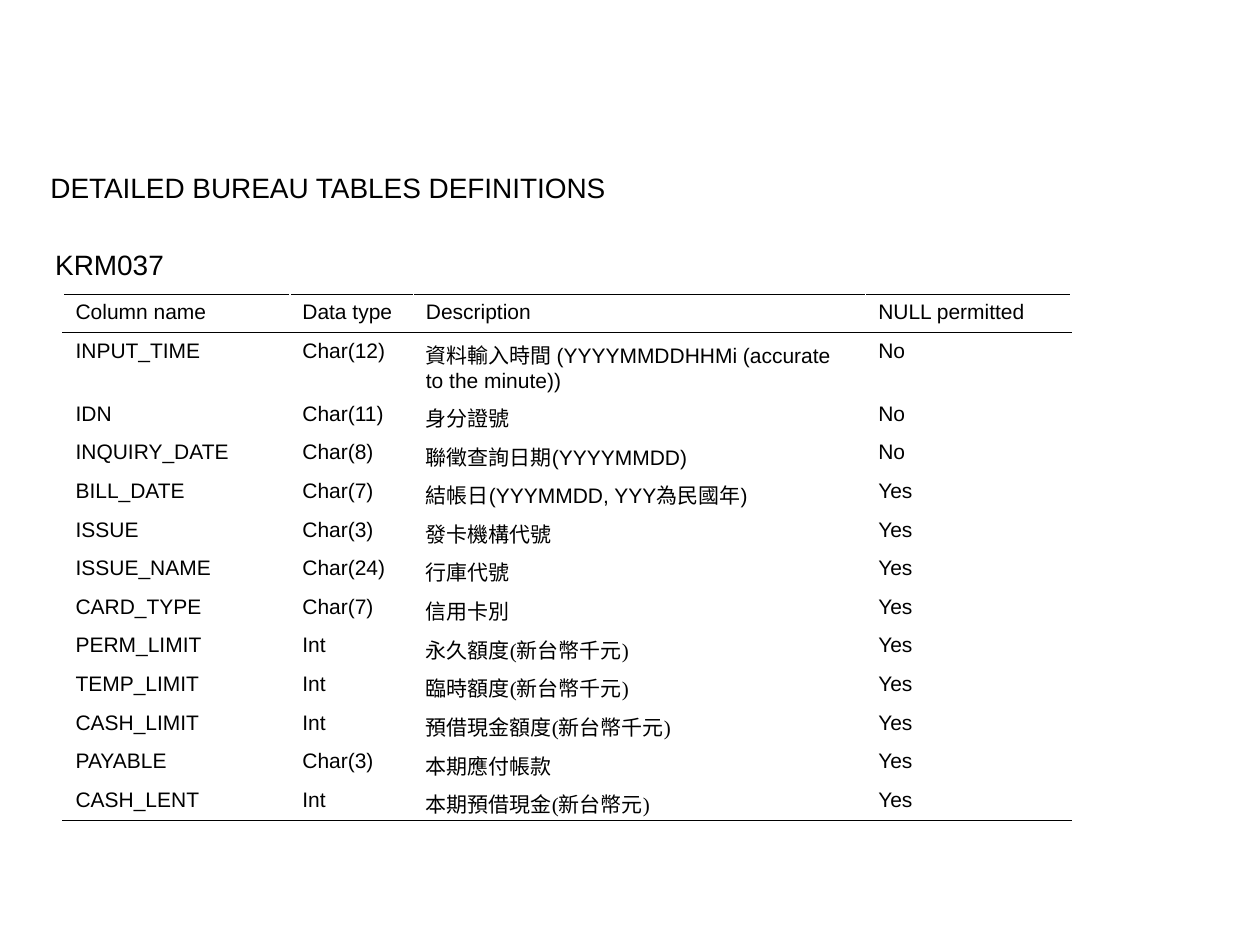
from pptx import Presentation
from pptx.dml.color import RGBColor
from pptx.enum.text import MSO_ANCHOR, MSO_AUTO_SIZE, PP_ALIGN
from pptx.oxml.ns import qn
from pptx.util import Pt
from lxml.etree import SubElement

BLACK = "000000"
SANS, SERIF = "Arial", "Times New Roman"
COLUMN_WIDTHS = [129.6, 70.6, 258.5, 117.3]
ROW_HEIGHTS = [21.8, 36] + [22.1] * 10 + [21.8]
OUTER_RULE, HEADER_RULE = 0.75, 0.45


def with_unit(name, unit):
    """Description spans whose unit stands in serif brackets."""
    return [(name, SANS), ("(", SERIF), (unit, SANS), (")", SERIF)]


ROWS = [
    ("Column name", "Data type", "Description", "NULL permitted"),
    ("INPUT_TIME", "Char(12)", "資料輸入時間 (YYYYMMDDHHMi (accurate to the minute))", "No"),
    ("IDN", "Char(11)", "身分證號", "No"),
    ("INQUIRY_DATE", "Char(8)", "聯徵查詢日期(YYYYMMDD)", "No"),
    ("BILL_DATE", "Char(7)", "結帳日(YYYMMDD, YYY為民國年)", "Yes"),
    ("ISSUE", "Char(3)", "發卡機構代號", "Yes"),
    ("ISSUE_NAME", "Char(24)", "行庫代號", "Yes"),
    ("CARD_TYPE", "Char(7)", "信用卡別", "Yes"),
    ("PERM_LIMIT", "Int", with_unit("永久額度", "新台幣千元"), "Yes"),
    ("TEMP_LIMIT", "Int", with_unit("臨時額度", "新台幣千元"), "Yes"),
    ("CASH_LIMIT", "Int", with_unit("預借現金額度", "新台幣千元"), "Yes"),
    ("PAYABLE", "Char(3)", "本期應付帳款", "Yes"),
    ("CASH_LENT", "Int", with_unit("本期預借現金", "新台幣元"), "Yes"),
]


def color(hex_string):
    return RGBColor.from_string(hex_string)


def write(frame, content, size):
    """Write plain text or a list of (text, font) spans into a text frame."""
    para = frame.paragraphs[0]
    para.alignment = PP_ALIGN.LEFT
    spans = [(content, SANS)] if isinstance(content, str) else content
    for text, font in spans:
        span = para.add_run()
        span.text = text
        for name, value in {"name": font, "size": Pt(size), "bold": False}.items():
            setattr(span.font, name, value)
        span.font.color.rgb = color(BLACK)


def place_heading(box, left, top, width, height, text, wrap):
    place = {"left": left, "top": top, "width": width, "height": height}
    for name, value in place.items():
        setattr(box, name, Pt(value))
    frame_format = {
        "word_wrap": wrap,
        "auto_size": MSO_AUTO_SIZE.SHAPE_TO_FIT_TEXT,
        "vertical_anchor": MSO_ANCHOR.TOP,
    }
    for name, value in frame_format.items():
        setattr(box.text_frame, name, value)
    write(box.text_frame, text, 16)


def add_rule(cell, side, width):
    properties = cell._tc.get_or_add_tcPr()
    line = SubElement(properties, qn(f"a:{side}"), w=str(Pt(width)))
    fill = SubElement(line, qn("a:solidFill"))
    SubElement(fill, qn("a:srgbClr"), val=BLACK)


def rules_for(row):
    """Horizontal rules of a row, top before bottom."""
    if row == 0:
        return {"lnT": OUTER_RULE, "lnB": HEADER_RULE}
    if row == 1:
        return {"lnT": HEADER_RULE}
    if row == len(ROWS) - 1:
        return {"lnB": OUTER_RULE}
    return {}


def add_definition_table(page, left, top):
    table = page.shapes.add_table(
        len(ROWS), len(COLUMN_WIDTHS), Pt(left), Pt(top),
        Pt(sum(COLUMN_WIDTHS)), Pt(sum(ROW_HEIGHTS))).table
    table.first_row = table.horz_banding = False
    for column, width in zip(table.columns, COLUMN_WIDTHS):
        column.width = Pt(width)
    for index, (row, height, contents) in enumerate(zip(table.rows, ROW_HEIGHTS, ROWS)):
        row.height = Pt(height)
        for cell, content in zip(row.cells, contents):
            for side, width in rules_for(index).items():
                add_rule(cell, side, width)
            cell.fill.background()
            write(cell.text_frame, content, 12)


def main():
    deck = Presentation()
    deck.slide_width, deck.slide_height = Pt(720), Pt(540)
    page = deck.slides.add_slide(deck.slide_layouts.get_by_name("Title Only"))

    # Headings
    place_heading(page.shapes.title, 21.6, 93.6, 668.9, 26.6,
                  "DETAILED BUREAU TABLES DEFINITIONS", True)
    name_box = page.shapes.add_textbox(0, 0, 0, 0)
    place_heading(name_box, 24.5, 138.2, 76.3, 26.6, "KRM037", False)

    # Column definitions
    add_definition_table(page, 36, 168.3)
    deck.save("out.pptx")


if __name__ == "__main__":
    main()
